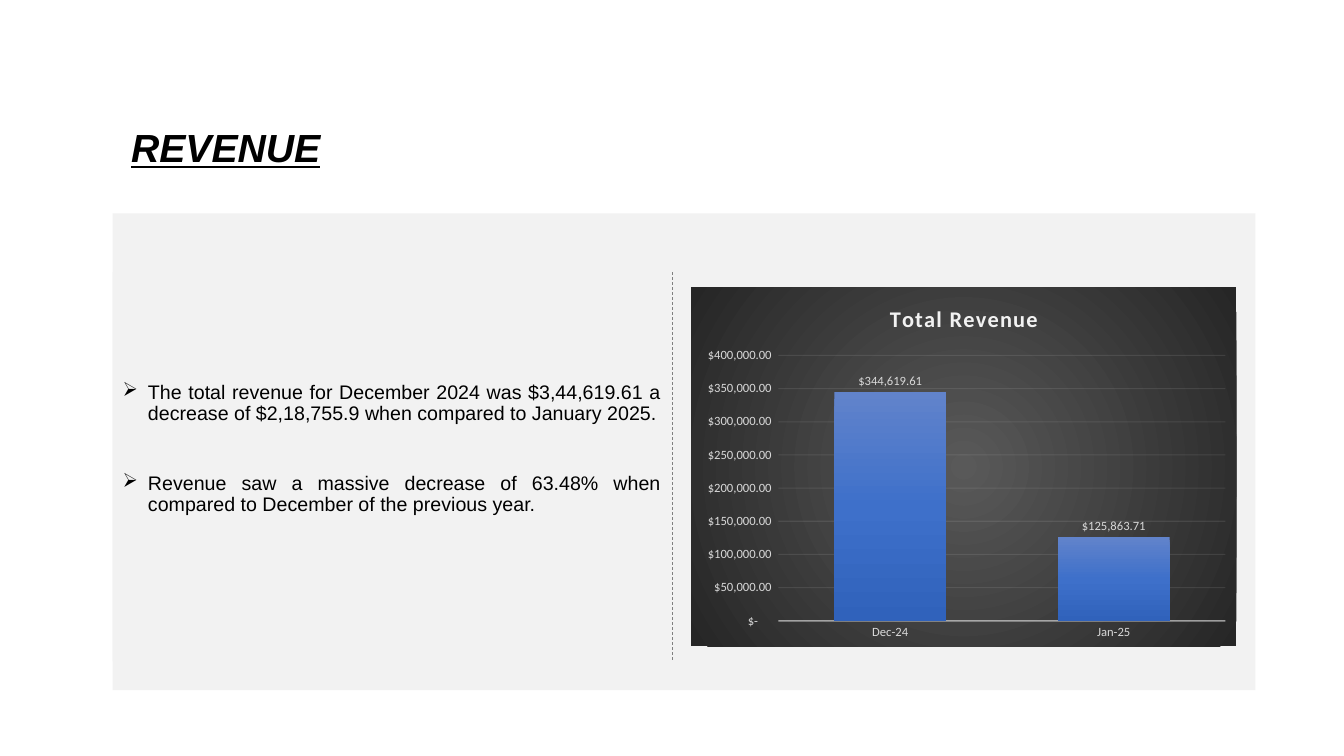
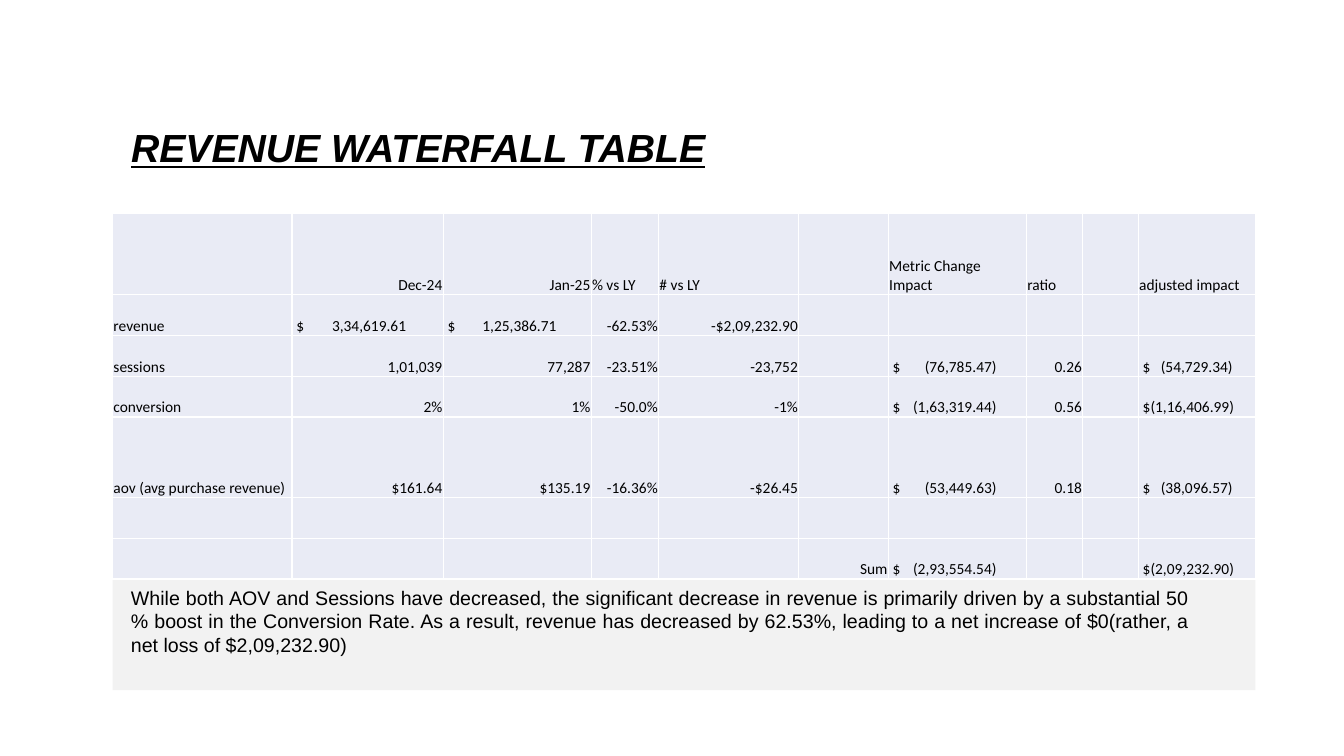
import lxml.etree
import pptx
import pptx.chart.data
import pptx.dml.color
import pptx.enum.chart
import pptx.enum.dml
import pptx.enum.shapes
import pptx.enum.text
import pptx.oxml
import pptx.oxml.ns
import pptx.util

Cm = pptx.util.Cm
Pt = pptx.util.Pt
qn = pptx.oxml.ns.qn
ALIGN = pptx.enum.text.PP_ALIGN
ANCHOR = pptx.enum.text.MSO_ANCHOR

COLOURS = {
    "text": "000000",
    "panel": "F2F2F2",
    "divider": "808080",
    "cell": "E9EBF5",
    "border": "FFFFFF",
    "chart_text": "D9D9D9",
    "chart_light": "F2F2F2",
}
BACKDROP_STOPS = [(0, "595959"), (100, "262626")]
BAR_STOPS = [(0, "6183CB"), (50, "3E70CA"), (100, "3062BB")]
TEXT_FONT = "Arial"
DATA_FONT = "Calibri"
MONEY_FORMAT = ('_-[$$-409]* #,##0.00_ ;_-[$$-409]* \\-#,##0.00\\ ;'
                '_-[$$-409]* "-"??_ ;_-@_ ')

# The panel is shared by both slides, and the table spans its width
PANEL_LEFT, PANEL_TOP, PANEL_WIDTH, PANEL_HEIGHT = 2.84, 5.38, 28.8, 12.01
BODY_TOP, BODY_HEIGHT = 6.86, 9.8
DIVIDER_LEFT = 16.94

COLUMN_WIDTHS = [4.52, 3.81, 3.73, 1.7, 3.53, 2.26, 3.48, 1.42, 1.4, 2.95]
ROW_HEIGHTS = [2.04, 1.03, 1.03, 1.03, 2.02, 1.03, 1.03]
# Right-hand tab stops of the columns that hold accounting amounts
AMOUNT_TABS = {1: 2.77, 2: 2.75, 6: 2.62, 9: 2.27}
WATERFALL_ROWS = [
    ["", "Dec-24", "Jan-25", "% vs LY", "# vs LY", "",
     "Metric Change Impact", "ratio", "", "adjusted impact"],
    ["revenue", "$\t3,34,619.61", "$\t1,25,386.71", "-62.53%",
     "-$2,09,232.90", "", "", "", "", ""],
    ["sessions", "1,01,039", "77,287", "-23.51%", "-23,752", "",
     "$\t(76,785.47)", "0.26", "", "$\t(54,729.34)"],
    ["conversion", "2%", "1%", "-50.0%", "-1%", "",
     "$\t(1,63,319.44)", "0.56", "", "$(1,16,406.99)"],
    ["aov (avg purchase revenue)", "$161.64", "$135.19", "-16.36%",
     "-$26.45", "", "$\t(53,449.63)", "0.18", "", "$\t(38,096.57)"],
    [""] * 10,
    ["", "", "", "", "", "Sum", "$\t(2,93,554.54)", "", "",
     "$(2,09,232.90)"],
]


def colour(name):
    return pptx.dml.color.RGBColor.from_string(COLOURS[name])


def style_font(font, size, name=TEXT_FONT, tint="text"):
    font.size = Pt(size)
    font.name = name
    font.color.rgb = colour(tint)


def set_alpha(line, percent):
    """Make a line of the chart partly transparent."""
    for tint in line.fill._xPr.iter(qn("a:srgbClr")):
        lxml.etree.SubElement(tint, qn("a:alpha"), val=str(percent * 1000))


def add_gradient(properties, stops, direction):
    """Append a gradient fill; direction is the XML of its geometry."""
    marks = "".join(
        f'<a:gs pos="{place * 1000}"><a:srgbClr val="{tint}"/></a:gs>'
        for place, tint in stops)
    properties.append(pptx.oxml.parse_xml(
        f'<a:gradFill {pptx.oxml.ns.nsdecls("a")} rotWithShape="1">'
        f'<a:gsLst>{marks}</a:gsLst>{direction}</a:gradFill>'))


# Shared slide frame
def add_page(deck, heading):
    page = deck.slides.add_slide(deck.slide_layouts[5])
    title = page.shapes.title
    title.left, title.top = Cm(3.05), Cm(2.74)
    title.width, title.height = Cm(27.94), Cm(2.08)
    frame = title.text_frame
    frame.text = heading
    frame.auto_size = pptx.enum.text.MSO_AUTO_SIZE.NONE
    frame.vertical_anchor = ANCHOR.MIDDLE
    para = frame.paragraphs[0]
    para.alignment = ALIGN.LEFT
    para.line_spacing = 0.9
    font = para.runs[0].font
    style_font(font, 28)
    font.bold = font.italic = font.underline = True

    panel = page.shapes.add_shape(
        pptx.enum.shapes.MSO_SHAPE.RECTANGLE, Cm(PANEL_LEFT), Cm(PANEL_TOP),
        Cm(PANEL_WIDTH), Cm(PANEL_HEIGHT))
    panel.shadow.inherit = False
    panel.fill.solid()
    panel.fill.fore_color.rgb = colour("panel")
    panel.line.fill.background()
    return page


def add_text(page, left, top, width, height, texts):
    box = page.shapes.add_textbox(Cm(left), Cm(top), Cm(width), Cm(height))
    frame = box.text_frame
    frame.word_wrap = True
    frame.text = "\n".join(texts)
    for para in frame.paragraphs:
        para.alignment = ALIGN.JUSTIFY
        style_font(para.runs[0].font, 14)
    return box


def add_bullets(page, texts):
    box = add_text(page, PANEL_LEFT, BODY_TOP, 14.07, BODY_HEIGHT, texts)
    box.fill.solid()
    box.fill.fore_color.rgb = colour("panel")
    frame = box.text_frame
    frame.vertical_anchor = ANCHOR.MIDDLE
    frame.margin_bottom = Cm(1)
    for number, para in enumerate(frame.paragraphs):
        para.line_spacing = 0.9
        para.space_before = Pt(35 if number else 10)
        properties = para._p.get_or_add_pPr()
        properties.set("marL", str(Cm(0.64)))
        properties.set("indent", str(-Cm(0.64)))
        lxml.etree.SubElement(properties, qn("a:buChar"), char="➢")


def add_divider(page):
    line = page.shapes.add_connector(
        pptx.enum.shapes.MSO_CONNECTOR.STRAIGHT, Cm(DIVIDER_LEFT),
        Cm(BODY_TOP), Cm(DIVIDER_LEFT), Cm(BODY_TOP + BODY_HEIGHT))
    line.line.color.rgb = colour("divider")
    line.line.width = Pt(0.5)
    line.line.dash_style = pptx.enum.dml.MSO_LINE.DASH
    lxml.etree.SubElement(line._element.spPr, qn("a:effectLst"))


# Revenue chart
def style_axes(chart):
    for axis in (chart.category_axis, chart.value_axis):
        axis.major_tick_mark = pptx.enum.chart.XL_TICK_MARK.NONE
        style_font(axis.tick_labels.font, 9, DATA_FONT, "chart_text")

    base = chart.category_axis.format.line
    base.color.rgb = colour("chart_light")
    base.width = Pt(1)
    set_alpha(base, 54)

    scale = chart.value_axis
    scale.minimum_scale, scale.maximum_scale = 0, 400000
    scale.major_unit = 50000
    scale.format.line.fill.background()
    scale.tick_labels.number_format = MONEY_FORMAT
    scale.tick_labels.number_format_is_linked = False
    grid = scale.major_gridlines.format.line
    grid.color.rgb = colour("chart_light")
    grid.width = Pt(0.75)
    set_alpha(grid, 10)


def style_chart_frame(chart):
    namespaces = pptx.oxml.ns.nsdecls("c", "a")
    backdrop = pptx.oxml.parse_xml(f"<c:spPr {namespaces}/>")
    add_gradient(backdrop, BACKDROP_STOPS,
                 '<a:path path="circle"><a:fillToRect l="50000" t="50000" '
                 'r="50000" b="50000"/></a:path>')
    lxml.etree.SubElement(lxml.etree.SubElement(backdrop, qn("a:ln")),
                          qn("a:noFill"))
    chart._chartSpace.find(qn("c:chart")).addnext(backdrop)

    # Fixed place of the plot inside the chart
    area = chart._chartSpace.find(".//" + qn("c:plotArea"))
    for layout in area.findall(qn("c:layout")):
        area.remove(layout)
    settings = [("layoutTarget", "inner"), ("xMode", "edge"),
                ("yMode", "edge"), ("x", 0.16), ("y", 0.19),
                ("w", 0.82), ("h", 0.74)]
    marks = "".join(f'<c:{key} val="{value}"/>' for key, value in settings)
    area.insert(0, pptx.oxml.parse_xml(
        f"<c:layout {namespaces}><c:manualLayout>{marks}"
        "</c:manualLayout></c:layout>"))


def add_revenue_chart(page):
    data = pptx.chart.data.CategoryChartData(number_format=MONEY_FORMAT)
    data.categories = ["Dec-24", "Jan-25"]
    data.add_series("Series 1", [344619.61, 125863.71])
    chart = page.shapes.add_chart(
        pptx.enum.chart.XL_CHART_TYPE.COLUMN_CLUSTERED, Cm(17.42), Cm(7.24),
        Cm(13.74), Cm(9.04), data).chart
    chart.has_legend = False
    style_font(chart.font, 10, DATA_FONT)

    chart.has_title = True
    heading = chart.chart_title.text_frame
    heading.text = "Total Revenue"
    run = heading.paragraphs[0].runs[0]
    style_font(run.font, 16, DATA_FONT, "chart_light")
    run.font.bold = True
    run._r.get_or_add_rPr().set("spc", "100")
    chart.chart_title.include_in_layout = False

    plot = chart.plots[0]
    plot.gap_width, plot.overlap = 100, -24
    plot.vary_by_categories = False
    add_gradient(plot.series[0]._element.get_or_add_spPr(), BAR_STOPS,
                 '<a:lin ang="5400000" scaled="0"/>')
    plot.has_data_labels = True
    labels = plot.data_labels
    labels.show_value = True
    labels.position = pptx.enum.chart.XL_LABEL_POSITION.OUTSIDE_END
    labels.number_format = "$#,##0.00"
    labels.number_format_is_linked = False
    style_font(labels.font, 9, DATA_FONT, "chart_text")

    style_axes(chart)
    style_chart_frame(chart)


# Waterfall table
def add_borders(cell):
    properties = cell._tc.get_or_add_tcPr()
    for place, side in enumerate(("lnL", "lnR", "lnT", "lnB")):
        properties.insert(place, pptx.oxml.parse_xml(
            f'<a:{side} {pptx.oxml.ns.nsdecls("a")} w="{Pt(1)}"><a:solidFill>'
            f'<a:srgbClr val="{COLOURS["border"]}"/></a:solidFill>'
            f'</a:{side}>'))


def fill_cell(cell, text, row, column):
    cell.fill.solid()
    cell.fill.fore_color.rgb = colour("cell")
    add_borders(cell)
    cell.margin_left = cell.margin_right = cell.margin_top = Cm(0.02)
    cell.margin_bottom = 0
    cell.vertical_anchor = ANCHOR.BOTTOM
    para = cell.text_frame.paragraphs[0]
    para.text = text
    style_font(para.font, 11, DATA_FONT)
    for run in para.runs:
        style_font(run.font, 11, DATA_FONT)

    amount = text.startswith(("$\t", "$("))
    left_header = row == 0 and column not in (1, 2)
    left = column == 0 or amount or left_header
    para.alignment = ALIGN.LEFT if left else ALIGN.RIGHT
    if amount:
        cell.margin_left = Cm(0.11)
        stops = pptx.oxml.parse_xml(
            f'<a:tabLst {pptx.oxml.ns.nsdecls("a")}>'
            f'<a:tab pos="{Cm(AMOUNT_TABS[column])}" algn="r"/></a:tabLst>')
        properties = para._p.get_or_add_pPr()
        properties.insert(0, stops)


def add_waterfall_table(page):
    table = page.shapes.add_table(
        len(ROW_HEIGHTS), len(COLUMN_WIDTHS), Cm(PANEL_LEFT), Cm(PANEL_TOP),
        Cm(sum(COLUMN_WIDTHS)), Cm(sum(ROW_HEIGHTS))).table
    table.first_row = table.horz_banding = False
    for column, width in zip(table.columns, COLUMN_WIDTHS):
        column.width = Cm(width)
    for row, height in zip(table.rows, ROW_HEIGHTS):
        row.height = Cm(height)
    for row, texts in enumerate(WATERFALL_ROWS):
        for column, text in enumerate(texts):
            fill_cell(table.cell(row, column), text, row, column)


def main():
    deck = pptx.Presentation()
    deck.slide_width, deck.slide_height = Cm(33.87), Cm(19.05)

    page = add_page(deck, "REVENUE")
    add_bullets(page, [
        "The total revenue for December 2024 was $3,44,619.61 a decrease of "
        "$2,18,755.9 when compared to January 2025.",
        "Revenue saw a massive decrease of 63.48% when compared to December "
        "of the previous year."])
    add_divider(page)
    add_revenue_chart(page)

    page = add_page(deck, "REVENUE WATERFALL TABLE")
    add_waterfall_table(page)
    add_text(page, 3.05, 14.63, 27.18, 3.25, [
        "While both AOV and Sessions have decreased, the significant decrease "
        "in revenue is primarily driven by a substantial 50 % boost in the "
        "Conversion Rate. As a result, revenue has decreased by 62.53%, "
        "leading to a net increase of $0(rather, a net loss of "
        "$2,09,232.90)"])

    deck.save("out.pptx")


if __name__ == "__main__":
    main()
